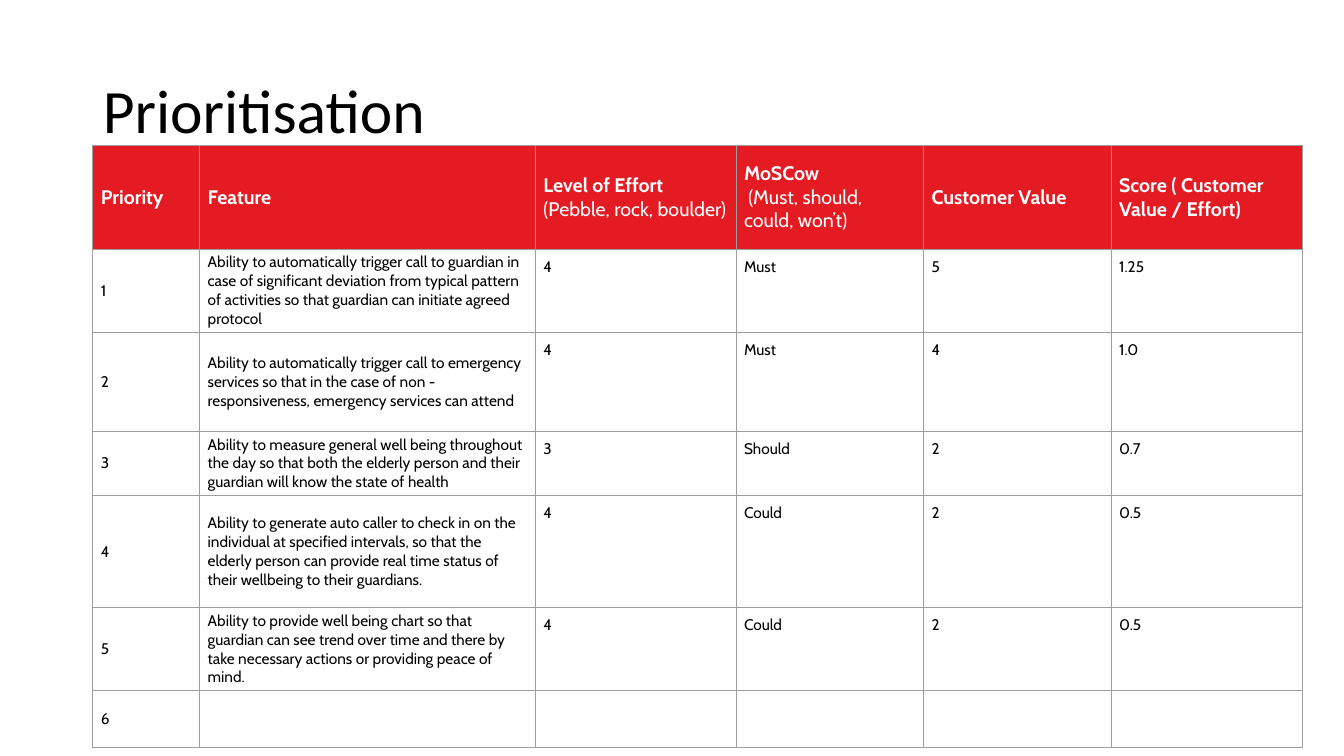
from dataclasses import dataclass

from lxml.etree import SubElement
from pptx import Presentation
from pptx.dml.color import RGBColor
from pptx.enum.text import MSO_ANCHOR, MSO_AUTO_SIZE, PP_ALIGN
from pptx.oxml.ns import qn
from pptx.slide import Slide
from pptx.table import Table, _Cell
from pptx.text.text import Font
from pptx.util import Emu, Pt

PX = 9144
RED, WHITE, BLACK, GREY = "E51B24", "FFFFFF", "000000", "9E9E9E"


@dataclass(frozen=True)
class Column:
    width: int
    heading: str
    aside: str = ""


@dataclass(frozen=True)
class Feature:
    height: int
    description: str = ""
    effort: str = ""
    moscow: str = ""
    value: str = ""
    score: str = ""


HEADER_HEIGHT = 103
COLUMNS = [
    Column(106, "Priority"),
    Column(333, "Feature"),
    Column(199, "Level of Effort ", "(Pebble, rock, boulder)"),
    Column(186, "MoSCow\n ", "(Must, should, could, won’t)"),
    Column(186, "Customer Value"),
    Column(190, "Score ( Customer Value / Effort)"),
]
FEATURES = [
    Feature(76, "Ability to automatically trigger call to guardian in case of significant "
                "deviation from typical pattern of activities so that guardian can initiate "
                "agreed protocol", "4", "Must", "5", "1.25"),
    Feature(98, "Ability to automatically trigger call to emergency services so that in the "
                "case of non - responsiveness, emergency services can attend",
            "4", "Must", "4", "1.0"),
    Feature(54, "Ability to measure general well being throughout the day so that both the "
                "elderly person and their guardian will know the state of health",
            "3", "Should", "2", "0.7"),
    Feature(111, "Ability to generate auto caller to check in on the individual at specified "
                 "intervals, so that the elderly person can provide real time status of their "
                 "wellbeing to their guardians.", "4", "Could", "2", "0.5"),
    Feature(76, "Ability to provide well being chart so that guardian can see trend over time "
                "and there by take necessary actions or providing peace of mind.",
            "4", "Could", "2", "0.5"),
    Feature(56),
]


def px(length: int) -> Emu:
    return Emu(length * PX)


def colour(code: str) -> RGBColor:
    return RGBColor.from_string(code)


def style_font(font: Font, name: str, size: int, code: str, bold: bool = False) -> None:
    font.name = name
    font.size = Pt(size)
    font.bold = bold
    font.color.rgb = colour(code)


def style_cell(cell: _Cell, fill: str, inset: int, middle: bool) -> None:
    cell.margin_left = cell.margin_right = px(8)
    cell.margin_top = cell.margin_bottom = px(inset)
    cell.vertical_anchor = MSO_ANCHOR.MIDDLE if middle else MSO_ANCHOR.TOP
    cell.fill.solid()
    cell.fill.fore_color.rgb = colour(fill)
    properties = cell._tc.get_or_add_tcPr()
    for position, side in enumerate(("a:lnL", "a:lnR", "a:lnT", "a:lnB")):
        border = SubElement(properties, qn(side), w=str(Pt(0.75)))
        line_fill = SubElement(border, qn("a:solidFill"))
        SubElement(line_fill, qn("a:srgbClr"), val=GREY)
        properties.insert(position, border)


def fill_heading(cell: _Cell, column: Column) -> None:
    style_cell(cell, RED, inset=8, middle=True)
    cell.text_frame.text = column.heading
    for paragraph in cell.text_frame.paragraphs:
        for run in paragraph.runs:
            style_font(run.font, "Cabin", 14, WHITE, bold=True)
    if column.aside:
        aside = cell.text_frame.paragraphs[-1].add_run()
        aside.text = column.aside
        style_font(aside.font, "Cabin", 14, WHITE)


def fill_feature(table: Table, priority: int, feature: Feature) -> None:
    entries = (str(priority), feature.description, feature.effort,
               feature.moscow, feature.value, feature.score)
    for index, entry in enumerate(entries):
        cell = table.cell(priority, index)
        descriptive = index < 2
        style_cell(cell, WHITE, inset=4 if descriptive else 8, middle=descriptive)
        paragraph = cell.text_frame.paragraphs[0]
        if entry:
            paragraph.text = entry
            style_font(paragraph.runs[0].font, "Cabin", 11, BLACK)


def add_title(slide: Slide, wording: str) -> None:
    title = slide.shapes.title
    title.left, title.top, title.width, title.height = map(px, (92, 40, 1150, 145))
    frame = title.text_frame
    frame.text = wording
    frame.word_wrap = True
    frame.auto_size = MSO_AUTO_SIZE.NONE
    frame.vertical_anchor = MSO_ANCHOR.MIDDLE
    frame.paragraphs[0].alignment = PP_ALIGN.LEFT
    frame.paragraphs[0].line_spacing = 0.9
    style_font(frame.paragraphs[0].runs[0].font, "Calibri", 44, BLACK)


def add_priorities(slide: Slide) -> None:
    heights = [HEADER_HEIGHT] + [feature.height for feature in FEATURES]
    width = sum(column.width for column in COLUMNS)
    table = slide.shapes.add_table(len(heights), len(COLUMNS), px(92), px(144),
                                   px(width), px(sum(heights))).table
    table.horz_banding = False
    for row, height in zip(table.rows, heights):
        row.height = px(height)
    for index, column in enumerate(COLUMNS):
        table.columns[index].width = px(column.width)
        fill_heading(table.cell(0, index), column)
    for priority, feature in enumerate(FEATURES, start=1):
        fill_feature(table, priority, feature)


def main() -> None:
    presentation = Presentation()
    presentation.slide_width, presentation.slide_height = px(1333), px(750)
    slide = presentation.slides.add_slide(presentation.slide_layouts[5])
    add_title(slide, "Prioritisation")
    add_priorities(slide)
    presentation.save("out.pptx")


if __name__ == "__main__":
    main()
